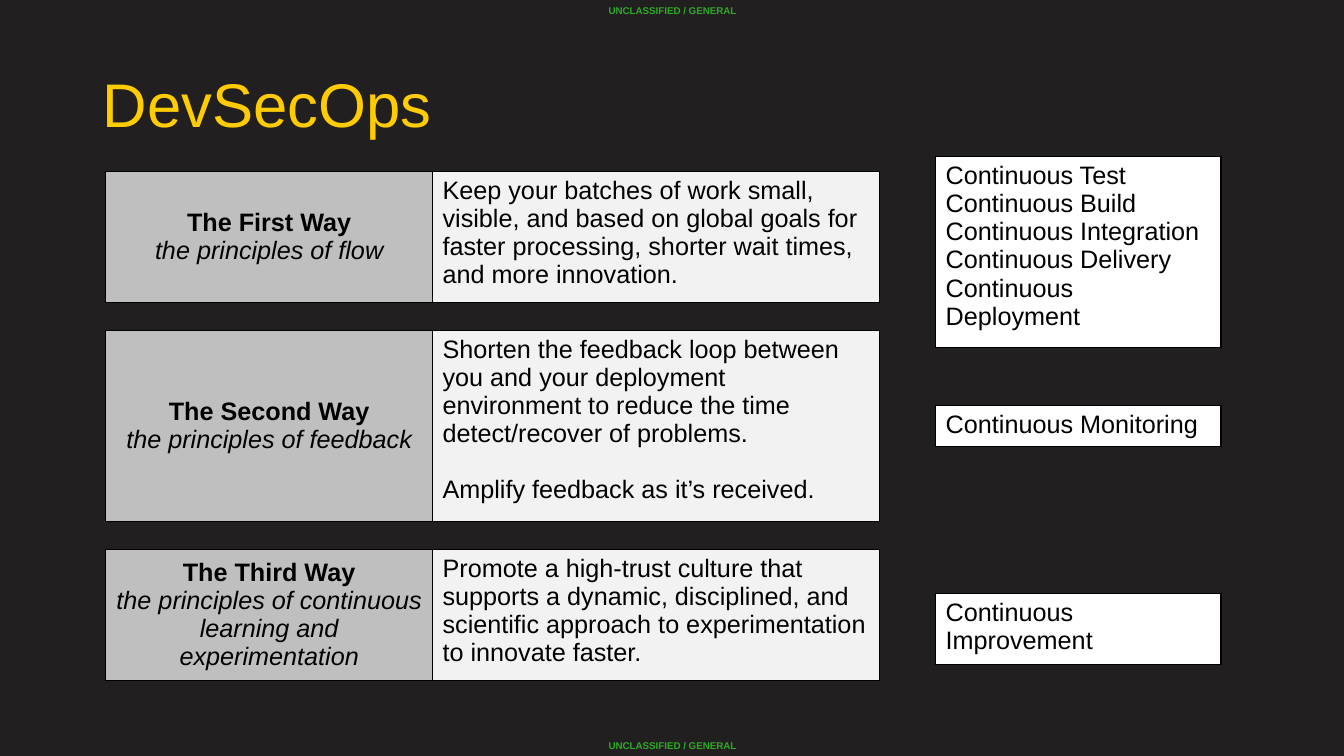
from dataclasses import dataclass

from lxml.etree import SubElement
from pptx import Presentation
from pptx.dml.color import RGBColor
from pptx.enum.text import MSO_ANCHOR as ANCHOR, MSO_AUTO_SIZE as AUTO, PP_ALIGN as ALIGN
from pptx.oxml.ns import qn
from pptx.util import Inches, Pt


@dataclass(frozen=True)
class Theme:
    font: str = "Arial"
    background: str = "221F20"
    title: str = "FFCC01"
    marking: str = "2DAA27"
    text: str = "000000"
    border: str = "000000"
    way: str = "BFBFBF"
    principle: str = "F2F2F2"
    practice: str = "FFFFFF"
    title_pt: int = 44
    body_pt: int = 18
    marking_pt: int = 7


THEME = Theme()
MARKING = "UNCLASSIFIED / GENERAL"
WAY_LEFT, WAY_COLS, WAY_TOP, WAY_GAP = 1.05, (3.24, 4.43), 1.7, 0.275
PRACTICE_LEFT, PRACTICE_WIDTH = 9.28, 2.83

# name, principles, description paragraphs, height
WAYS = [
    ("The First Way", "the principles of flow",
     ["Keep your batches of work small, visible, and based on global goals for "
      "faster processing, shorter wait times, and more innovation."], 1.3),
    ("The Second Way", "the principles of feedback",
     ["Shorten the feedback loop between you and your deployment environment to "
      "reduce the time detect/recover of problems.",
      "Amplify feedback as it’s received."], 1.9),
    ("The Third Way", "the principles of continuous learning and experimentation",
     ["Promote a high-trust culture that supports a dynamic, disciplined, and "
      "scientific approach to experimentation to innovate faster."], 1.3),
]

# practices, top, height
PRACTICES = [
    (["Continuous Test", "Continuous Build", "Continuous Integration",
      "Continuous Delivery", "Continuous Deployment"], 1.55, 1.9),
    (["Continuous Monitoring"], 4.02, 0.41),
    (["Continuous Improvement"], 5.89, 0.7),
]


def style_paragraph(p, size, color, align=ALIGN.LEFT, bold=False, italic=False):
    p.alignment = align
    for r in p.runs:
        font = r.font
        font.name, font.size = THEME.font, Pt(size)
        font.bold, font.italic = bold, italic
        font.color.rgb = RGBColor.from_string(color)


def add_borders(cell):
    tc_pr = cell._tc.get_or_add_tcPr()
    for i, side in enumerate(("lnL", "lnR", "lnT", "lnB")):
        ln = tc_pr.makeelement(qn(f"a:{side}"), {"w": str(Pt(1))})
        fill = SubElement(ln, qn("a:solidFill"))
        SubElement(fill, qn("a:srgbClr"), val=THEME.border)
        tc_pr.insert(i, ln)


def fill_cell(cell, lines, color):
    cell.text_frame.text = "\n".join(lines)
    cell.fill.solid()
    cell.fill.fore_color.rgb = RGBColor.from_string(color)
    add_borders(cell)
    for p in cell.text_frame.paragraphs:
        style_paragraph(p, THEME.body_pt, THEME.text)


def add_row_table(s, left, top, col_widths, height):
    """Add a one-row table without banding and return its cells."""
    frame = s.shapes.add_table(1, len(col_widths), Inches(left), Inches(top),
                               Inches(sum(col_widths)), Inches(height))
    table = frame.table
    table.first_row = table.horz_banding = False
    for column, width in zip(table.columns, col_widths):
        column.width = Inches(width)
    return list(table.iter_cells())


def add_way(s, left, top, height, name, principles, description):
    way, detail = add_row_table(s, left, top, WAY_COLS, height)
    fill_cell(way, [name, principles], THEME.way)
    way.vertical_anchor = ANCHOR.MIDDLE
    heading, subheading = way.text_frame.paragraphs
    style_paragraph(heading, THEME.body_pt, THEME.text, ALIGN.CENTER, bold=True)
    style_paragraph(subheading, THEME.body_pt, THEME.text, ALIGN.CENTER, italic=True)

    fill_cell(detail, description, THEME.principle)
    for p in detail.text_frame.paragraphs[1:]:
        p.space_before = Pt(20)


def add_practices(s, left, top, width, height, lines):
    cell, = add_row_table(s, left, top, [width], height)
    fill_cell(cell, lines, THEME.practice)


def add_title(s, left, top, width, height, text):
    title = s.shapes.title
    title.left, title.top = Inches(left), Inches(top)
    title.width, title.height = Inches(width), Inches(height)
    tf = title.text_frame
    tf.text = text
    tf.auto_size = AUTO.NONE
    tf.vertical_anchor = ANCHOR.BOTTOM
    p = tf.paragraphs[0]
    p.line_spacing = 0.9
    style_paragraph(p, THEME.title_pt, THEME.title)


def add_marking(s, left, top, width, height, anchor):
    tf = s.shapes.add_textbox(Inches(left), Inches(top),
                              Inches(width), Inches(height)).text_frame
    tf.text = MARKING
    tf.word_wrap = True
    tf.vertical_anchor = anchor
    style_paragraph(tf.paragraphs[0], THEME.marking_pt, THEME.marking,
                    ALIGN.CENTER, bold=True)


def build_slide(prs):
    s = prs.slides.add_slide(prs.slide_layouts[5])
    s.background.fill.solid()
    s.background.fill.fore_color.rgb = RGBColor.from_string(THEME.background)

    add_marking(s, 1.52, 0, 10.3, 0.22, ANCHOR.TOP)
    add_marking(s, 1.52, 7.28, 10.3, 0.22, ANCHOR.BOTTOM)
    add_title(s, 0.92, 0, 11.5, 1.45, "DevSecOps")

    top = WAY_TOP
    for name, principles, description, height in WAYS:
        add_way(s, WAY_LEFT, top, height, name, principles, description)
        top += height + WAY_GAP

    for lines, top, height in PRACTICES:
        add_practices(s, PRACTICE_LEFT, top, PRACTICE_WIDTH, height, lines)


def main():
    prs = Presentation()
    prs.slide_width, prs.slide_height = Inches(13.33), Inches(7.5)
    build_slide(prs)
    prs.save("out.pptx")


if __name__ == "__main__":
    main()
